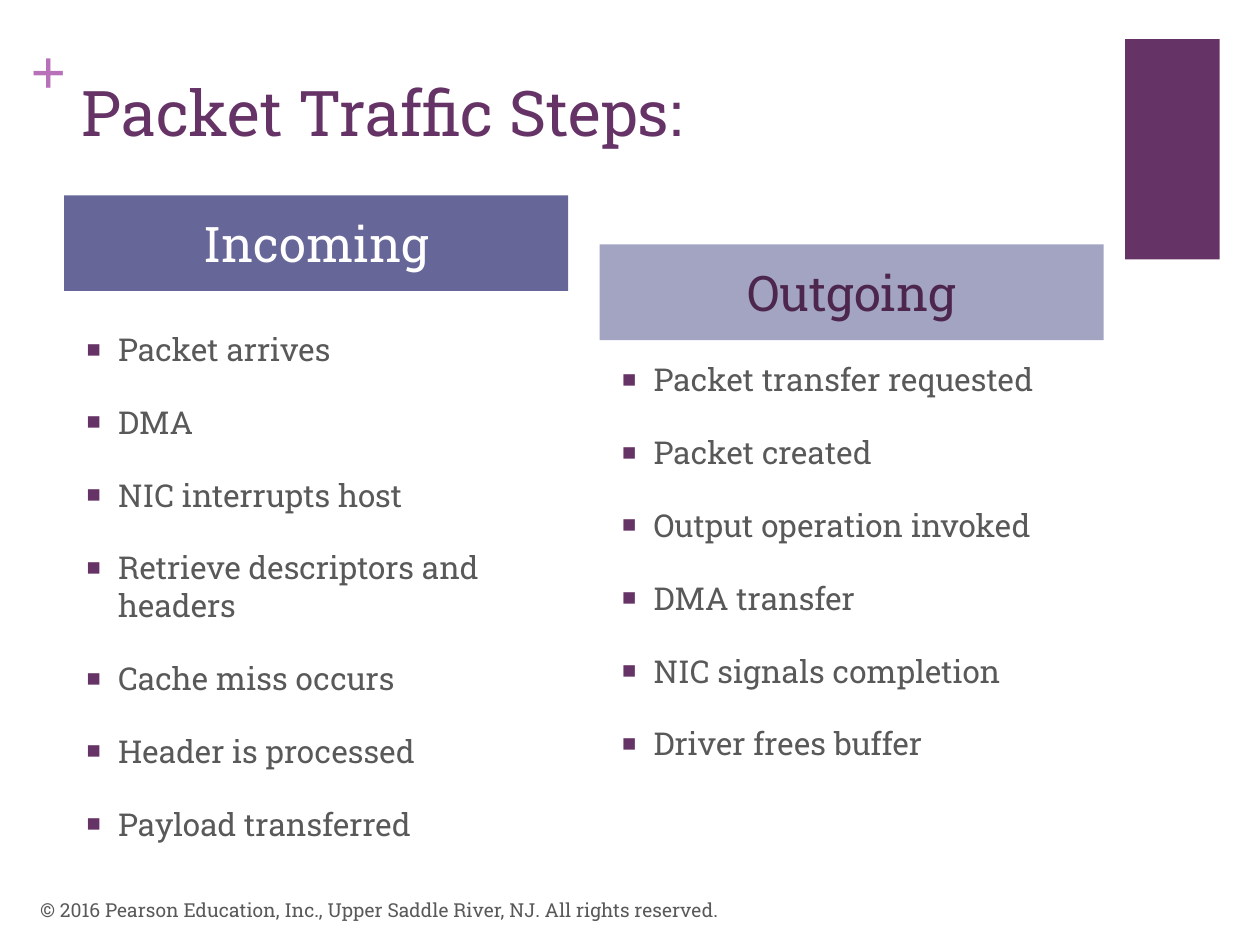
import pptx
import pptx.util
import pptx.dml.color
import pptx.enum.shapes
import pptx.enum.text
from lxml import etree

FONT = "Roboto Slab"
PURPLE, GREY = "663366", "595959"
COLUMN_W = 4
COLUMNS = [
    dict(title="Incoming", left=0.51, top=1.55, fill="666699", color="FFFFFF", list_top=2.57,
         steps=["Packet arrives", "DMA", "NIC interrupts host", "Retrieve descriptors and headers",
                "Cache miss occurs", "Header is processed", "Payload transferred"]),
    dict(title="Outgoing", left=4.76, top=1.94, fill="A3A3C2", color="4D264D", list_top=2.81,
         steps=["Packet transfer requested", "Packet created", "Output operation invoked",
                "DMA transfer", "NIC signals completion", "Driver frees buffer"]),
]


def rgb(value):
    """Return a colour from a hex string."""
    return pptx.dml.color.RGBColor.from_string(value)


def box(*lengths):
    """Return lengths in inches."""
    return [pptx.util.Inches(n) for n in lengths]


def add_bullet(p):
    """Give a paragraph a hanging square bullet."""
    pPr = p._p.get_or_add_pPr()
    indent = pptx.util.Inches(0.25)
    pPr.set("marL", str(indent))
    pPr.set("indent", str(-indent))
    ns = pptx.oxml.ns.qn
    color = etree.SubElement(pPr, ns("a:buClr"))
    etree.SubElement(color, ns("a:srgbClr"), val=PURPLE)
    etree.SubElement(pPr, ns("a:buSzPct"), val="75000")
    etree.SubElement(pPr, ns("a:buFont"), typeface="Arial")
    etree.SubElement(pPr, ns("a:buChar"), char="■")


def write(sp, *lines, size=18, color=GREY, font=FONT, bold=False, align="LEFT",
          anchor="TOP", margins=(0.1, 0.05), bullets=False, gap=0):
    """Fill a shape with formatted paragraphs."""
    tf = sp.text_frame
    tf.word_wrap = True
    tf.auto_size = pptx.enum.text.MSO_AUTO_SIZE.NONE
    tf.vertical_anchor = pptx.enum.text.MSO_ANCHOR[anchor]
    tf.margin_left, tf.margin_top = tf.margin_right, tf.margin_bottom = box(*margins)
    for i, line in enumerate(lines):
        p = tf.add_paragraph() if i else tf.paragraphs[0]
        p.alignment = pptx.enum.text.PP_ALIGN[align]
        if bullets:
            add_bullet(p)
        p.space_before = pptx.util.Pt(gap if i else 0)
        r = p.add_run()
        r.text = line
        r.font.name, r.font.size, r.font.bold = font, pptx.util.Pt(size), bold
        r.font.color.rgb = rgb(color)


def add_text(s, place, *lines, **fmt):
    """Add a text box."""
    write(s.shapes.add_textbox(*box(*place)), *lines, **fmt)


def add_block(s, place, fill):
    """Add a plain filled rectangle."""
    sp = s.shapes.add_shape(pptx.enum.shapes.MSO_SHAPE.RECTANGLE, *box(*place))
    sp.shadow.inherit = False
    sp.fill.solid()
    sp.fill.fore_color.rgb = rgb(fill)
    sp.line.fill.background()
    return sp


def add_title(s, place, text, **fmt):
    """Place and format the title placeholder."""
    sp = s.shapes.title
    sp.left, sp.top, sp.width, sp.height = box(*place)
    write(sp, text, **fmt)


def add_column(s, title, left, top, fill, color, list_top, steps):
    """Add a heading bar with its list of steps."""
    add_text(s, (left + 0.08, list_top, COLUMN_W, 4.02), *steps, bullets=True, gap=20)
    bar = add_block(s, (left, top, COLUMN_W, 0.76), fill)
    write(bar, title, size=28, color=color, align="CENTER", anchor="MIDDLE", margins=(0.1, 0))


def main():
    """Build the slide and save it."""
    prs = pptx.Presentation()
    prs.slide_width, prs.slide_height = box(10, 7.5)
    s = prs.slides.add_slide(prs.slide_layouts[5])
    add_block(s, (8.93, 0.31, 0.75, 1.75), PURPLE)
    add_text(s, (0.24, 0.25, 0.29, 0.61), "+", size=36, color="B870B8",
             font="Times New Roman", bold=True, margins=(0, 0))
    add_title(s, (0.55, 0.53, 8.26, 1.22), "Packet Traffic Steps:", size=36, color=PURPLE)
    for column in COLUMNS:
        add_column(s, **column)
    add_text(s, (0.22, 7.02, 6.7, 0.4), "© 2016 Pearson Education, Inc., Upper Saddle River, "
             "NJ. All rights reserved.", size=11, anchor="MIDDLE")
    prs.save("out.pptx")


if __name__ == "__main__":
    main()
